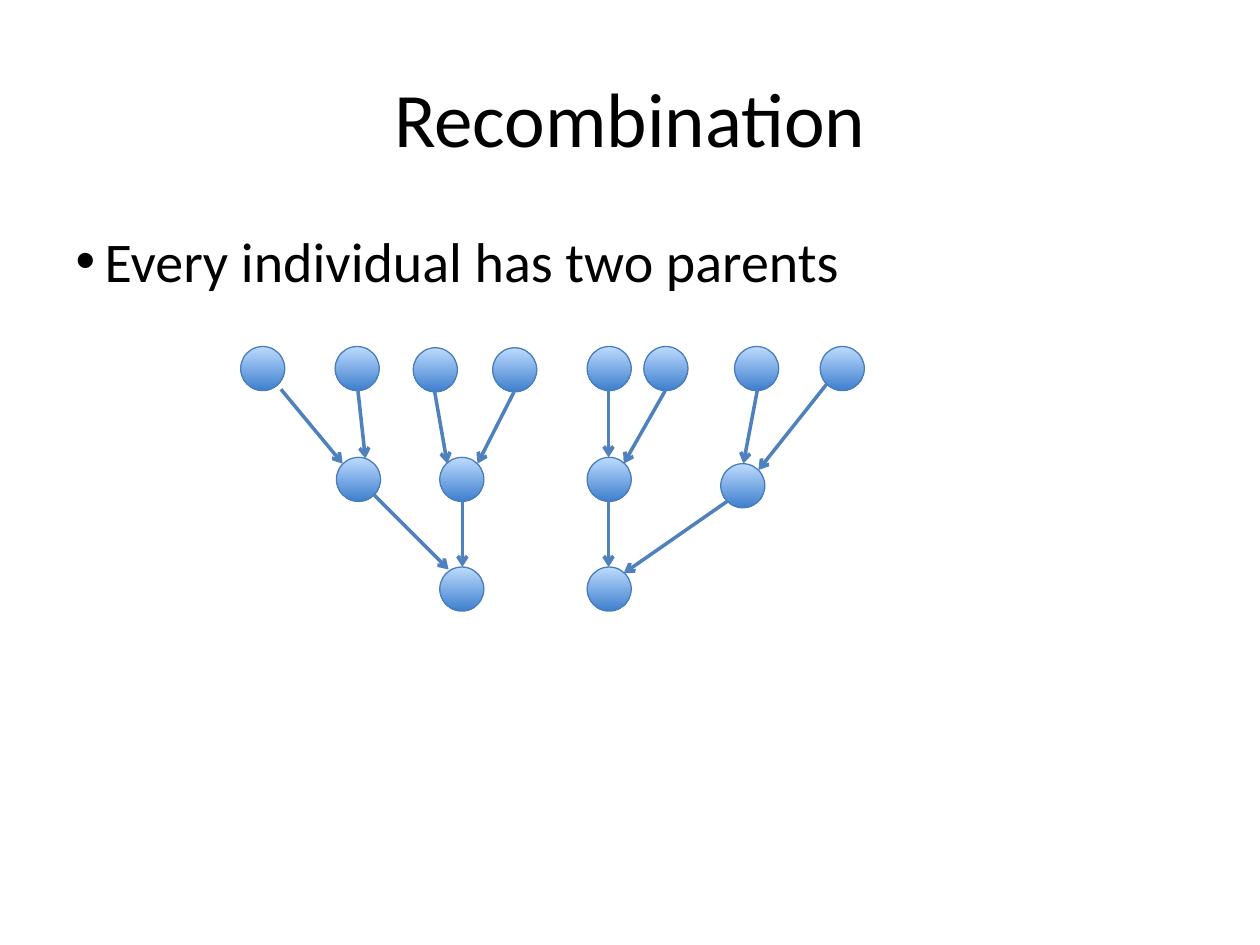
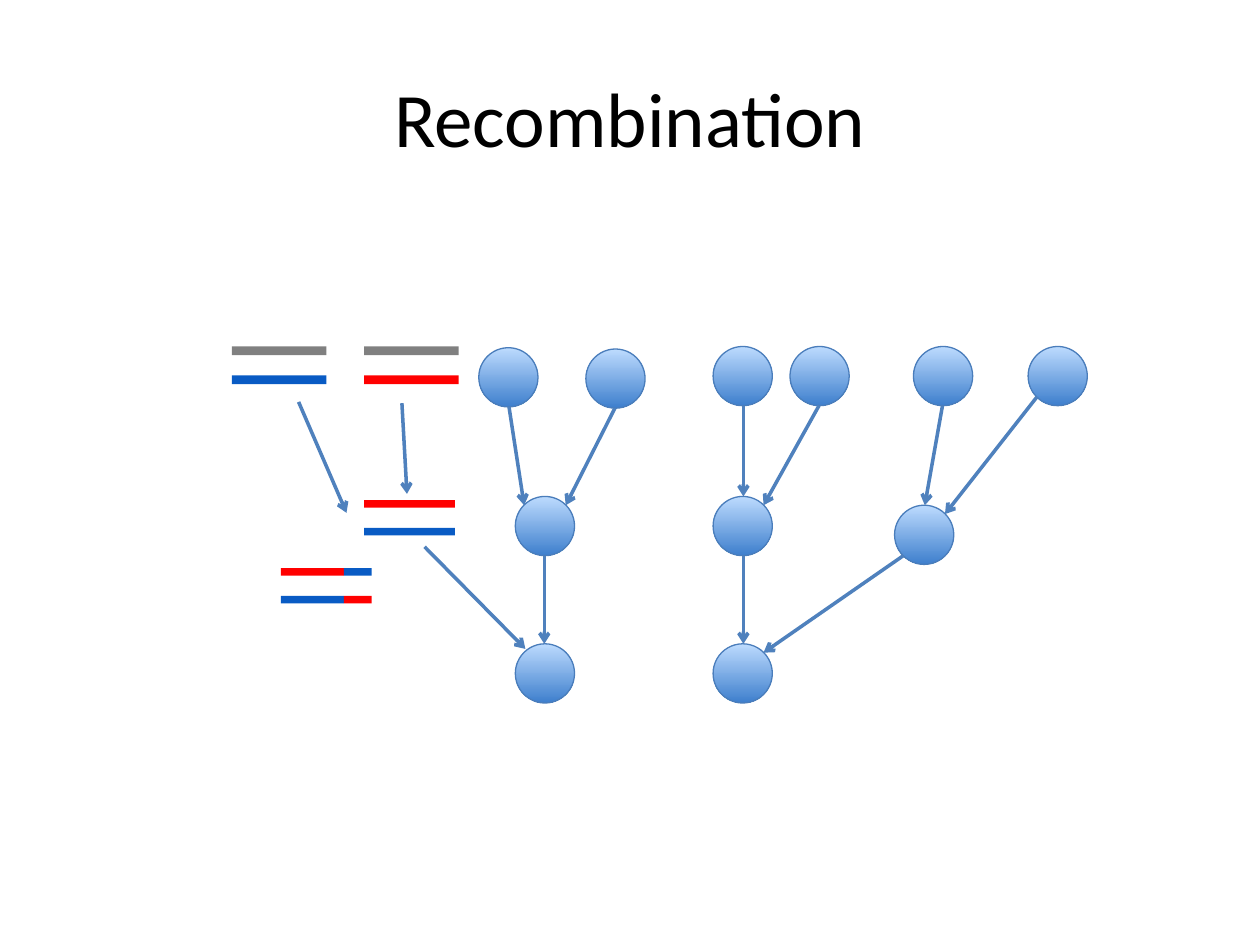
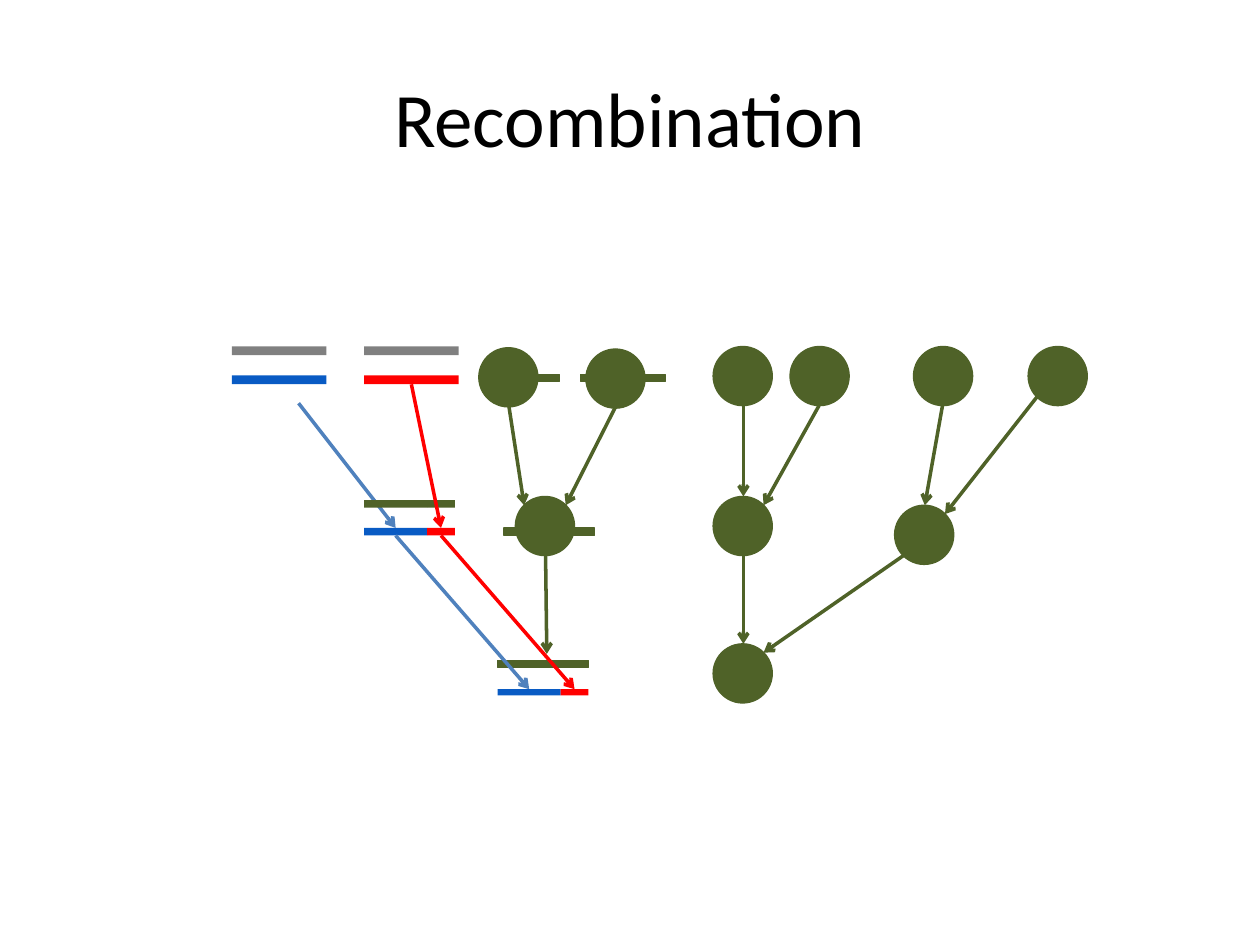
import pptx
import pptx.dml.color
import pptx.enum.shapes
import pptx.enum.text
import pptx.oxml
import pptx.oxml.ns
import pptx.util

RGBColor = pptx.dml.color.RGBColor
SHAPES = pptx.enum.shapes.MSO_SHAPE

EMU_PER_PX = 9144  # 100 px to the inch
FONT = "Calibri"
BLACK = RGBColor(0x00, 0x00, 0x00)
SKY = RGBColor(0xBD, 0xDB, 0xFE)
OCEAN = RGBColor(0x3E, 0x7F, 0xCD)
RIM = RGBColor(0x4A, 0x7D, 0xBB)
STEEL = RGBColor(0x4F, 0x81, 0xBD)
BLUE = RGBColor(0x09, 0x5B, 0xC4)
RED = RGBColor(0xFF, 0x00, 0x00)
GRAY = RGBColor(0x80, 0x80, 0x80)
OLIVE = RGBColor(0x4F, 0x62, 0x28)

# Pedigree: top-left corners of the circles at full size
DIAMETER = 47
ORIGIN = (380, 275)
PEOPLE = {
    "grandparent 1": (380, 276),
    "grandparent 2": (465, 277),
    "grandparent 3": (566, 275),
    "grandparent 4": (627, 275),
    "grandparent 5": (725, 275),
    "grandparent 6": (816, 275),
    "parent 1": (409, 394),
    "parent 2": (566, 394),
    "parent 3": (710, 401),
    "child 1": (409, 511),
    "child 2": (566, 511),
}
# Points on a circle's rim, as shares of its diameter
RIM_POINTS = {
    "top": (0.5, 0),
    "top left": (0.15, 0.15),
    "top right": (0.85, 0.15),
    "bottom": (0.5, 1),
    "bottom left": (0.15, 0.85),
}
DESCENT = [
    ("grandparent 1", "bottom", "parent 1", "top left"),
    ("grandparent 2", "bottom", "parent 1", "top right"),
    ("grandparent 3", "bottom", "parent 2", "top"),
    ("grandparent 4", "bottom", "parent 2", "top right"),
    ("grandparent 5", "bottom", "parent 3", "top"),
    ("grandparent 6", "bottom left", "parent 3", "top right"),
    ("parent 1", "bottom", "child 1", "top"),
    ("parent 2", "bottom", "child 2", "top"),
    ("parent 3", "bottom left", "child 2", "top right"),
]


def px(length):
    return pptx.util.Emu(round(length) * EMU_PER_PX)


class Slides:
    def __init__(self):
        self.deck = pptx.Presentation()
        self.deck.slide_width, self.deck.slide_height = px(1000), px(750)
        self.page = None

    def place(self, box, left, top, width, height):
        box.left, box.top = px(left), px(top)
        box.width, box.height = px(width), px(height)

    def format_text(self, box, text, size):
        box.text_frame.text = text
        paragraph = box.text_frame.paragraphs[0]
        for span in paragraph.runs:
            span.font.name = FONT
            span.font.size = pptx.util.Pt(size)
            span.font.color.rgb = BLACK
        return paragraph

    def new_page(self, title, layout="Title Only"):
        self.page = self.deck.slides.add_slide(self.deck.slide_layouts.get_by_name(layout))
        box = self.page.shapes.title
        self.place(box, 50, 30, 900, 125)
        paragraph = self.format_text(box, title, 44)
        paragraph.alignment = pptx.enum.text.PP_ALIGN.CENTER
        box.text_frame.vertical_anchor = pptx.enum.text.MSO_ANCHOR.MIDDLE

    def bullet(self, text):
        box = self.page.placeholders[1]
        self.place(box, 50, 175, 900, 495)
        paragraph = self.format_text(box, text, 32)
        paragraph.space_before = pptx.util.Pt(0)
        properties = paragraph._p.get_or_add_pPr()
        properties.set("marL", str(px(23)))
        properties.set("indent", str(-px(23)))

    def shape(self, kind, left, top, width, height, line_color, line_width):
        shape = self.page.shapes.add_shape(kind, px(left), px(top), px(width), px(height))
        shape.shadow.inherit = False
        if line_width:
            shape.line.color.rgb = line_color
            shape.line.width = pptx.util.Pt(line_width)
        else:
            shape.line.fill.background()
        return shape

    def circle(self, left, top, diameter, color=None):
        """A solid circle, or one with the blue gradient when no colour is given."""
        shape = self.shape(SHAPES.OVAL, left, top, diameter, diameter, color or RIM, 0.75)
        if color:
            shape.fill.solid()
            shape.fill.fore_color.rgb = color
        else:
            shape.fill.gradient()
            shape.fill.gradient_angle = 270
            for stop, shade in zip(shape.fill.gradient_stops, (SKY, OCEAN)):
                stop.color.rgb = shade

    def chromosome(self, left, top, height, *segments, line_width=0):
        """Bars end to end, from (width, colour) pairs."""
        bars = []
        for width, color in segments:
            bar = self.shape(SHAPES.RECTANGLE, left, top, width, height, color, line_width)
            bar.fill.solid()
            bar.fill.fore_color.rgb = color
            bars.append(bar)
            left += width
        return bars

    def arrow(self, start, end, color=STEEL):
        """Each end is an (x, y) point, or a bar: left at its bottom, reached at its top."""
        start_is_point, end_is_point = isinstance(start, tuple), isinstance(end, tuple)
        x1, y1 = start if start_is_point else (0, 0)
        x2, y2 = end if end_is_point else (0, 0)
        line = self.page.shapes.add_connector(
            pptx.enum.shapes.MSO_CONNECTOR.STRAIGHT, px(x1), px(y1), px(x2), px(y2))
        if not start_is_point:
            line.begin_connect(start, 2)
        if not end_is_point:
            line.end_connect(end, 0)
        line.line.color.rgb = color
        line.line.width = pptx.util.Pt(2)
        head = pptx.oxml.parse_xml(
            f'<a:tailEnd {pptx.oxml.ns.nsdecls("a")} type="arrow"/>')
        line.line._get_or_add_ln().append(head)
        line._element.spPr.append(
            pptx.oxml.parse_xml(f'<a:effectLst {pptx.oxml.ns.nsdecls("a")}/>'))

    def pedigree(self, left=ORIGIN[0], zoom=1, color=None, without=()):
        def scaled(x, y):
            return left + zoom * (x - ORIGIN[0]), ORIGIN[1] + zoom * (y - ORIGIN[1])

        def rim(person, side):
            (x, y), (across, down) = PEOPLE[person], RIM_POINTS[side]
            return scaled(x + across * DIAMETER, y + down * DIAMETER)

        for person, corner in PEOPLE.items():
            if person not in without:
                self.circle(*scaled(*corner), zoom * DIAMETER, color)
        for elder, elder_side, younger, younger_side in DESCENT:
            if younger not in without:
                self.arrow(rim(elder, elder_side), rim(younger, younger_side), color or STEEL)

    def founders(self):
        """The two chromosome pairs at the top left; returns the lower red bar."""
        for left, color in ((184, BLUE), (289, RED)):
            self.chromosome(left, 275, 7, (75, GRAY))
            lower = self.chromosome(left, 298, 7, (75, color))
        return lower[0]


def main():
    slides = Slides()

    # Slide 1: everyone is a circle
    slides.new_page("Recombination", "Title and Content")
    slides.bullet("Every individual has two parents")
    slides.pedigree(left=328, zoom=0.74)
    for corner in ((191, 275), (266, 275), (267, 363)):
        slides.circle(*corner, 35)
    for start, end in (((223, 309), (272, 368)), ((284, 309), (290, 364)),
                       ((297, 393), (356, 452))):
        slides.arrow(start, end)

    # Slide 2: chromosomes of one family
    slides.new_page("Recombination")
    slides.pedigree()
    slides.founders()
    for top, inherited, swapped in ((397, RED, BLUE), (419, BLUE, RED)):
        slides.chromosome(289, top, 6, (72, inherited))
        slides.chromosome(223, top + 54, 6, (50, inherited), (22, swapped))
    for start, end in (((237, 319), (275, 407)), ((319, 320), (323, 392)),
                       ((337, 434), (417, 515))):
        slides.arrow(start, end)

    # Slide 3: the line of descent of each segment
    slides.new_page("Recombination")
    red_founder = slides.founders()
    blue_parent, red_parent = slides.chromosome(289, 419, 6, (50, BLUE), (22, RED))
    slides.arrow((237, 320), blue_parent)
    slides.chromosome(289, 397, 6, (50, OLIVE), (22, OLIVE))
    blue_child, red_child = slides.chromosome(395, 547, 5, (50, BLUE), (22, RED))

    # Unrelated ancestors in olive
    slides.pedigree(color=OLIVE, without=("child 1",))
    slides.arrow((433, 441), (434, 519), OLIVE)
    for left, top, *widths in ((395, 524, 39, 33), (400, 419, 39, 33),
                               (389, 297, 55), (461, 297, 67)):
        slides.chromosome(left, top, 6, *((width, OLIVE) for width in widths), line_width=0.75)

    # Segments passed down
    slides.arrow(red_parent, red_child, RED)
    slides.arrow(blue_parent, blue_child)
    slides.arrow(red_founder, red_parent, RED)

    slides.deck.save("out.pptx")


if __name__ == "__main__":
    main()
